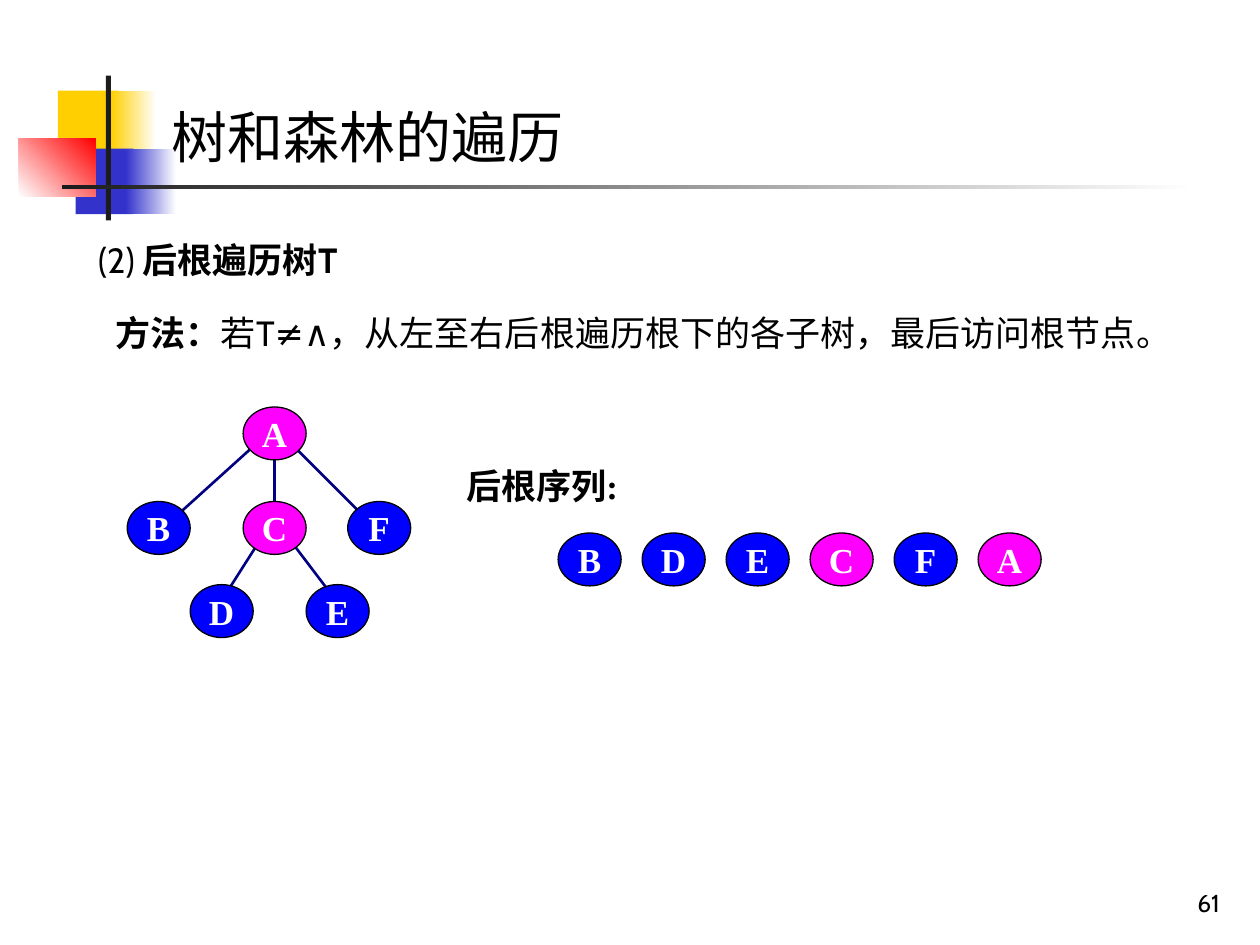
from dataclasses import dataclass

from lxml.etree import SubElement
from pptx import Presentation
from pptx.dml.color import RGBColor as RGB
from pptx.enum.shapes import MSO_CONNECTOR as Link, MSO_SHAPE as Kind
from pptx.enum.text import MSO_ANCHOR as Anchor, PP_ALIGN as Align
from pptx.oxml.ns import qn
from pptx.util import Inches, Pt


@dataclass(frozen=True)
class Theme:
    black: str = "000000"
    white: str = "FFFFFF"
    dark: str = "1C1C1C"
    gold: str = "FFCF01"
    indigo: str = "3333CC"
    red: str = "FF0000"
    navy: str = "000080"
    leaf: str = "0000FF"
    root: str = "FF00FF"
    sans: str = "Cabin"
    serif: str = "Times New Roman"
    cjk: str = "Noto Sans CJK JP"
    head: int = 32
    body: int = 20
    note: int = 14


T = Theme()


def color(code):
    return RGB.from_string(code)


def write(frame, runs, face, size, ink=T.black, **form):
    """Fill a text frame with one paragraph of (text, bold) runs."""
    para = frame.paragraphs[0]
    for name, value in form.items():
        setattr(para, name, value)
    for text, bold in runs:
        run = para.add_run()
        run.text = text
        look = {"name": face, "size": Pt(size), "bold": bold}
        for name, value in look.items():
            setattr(run.font, name, value)
        run.font.color.rgb = color(ink)
        SubElement(run.font._element, qn("a:ea"), typeface=T.cjk)


def label(slide, box, runs, face=T.sans, size=T.body, anchor=Anchor.TOP, **form):
    frame = slide.shapes.add_textbox(*map(Inches, box)).text_frame
    frame.word_wrap = True
    frame.vertical_anchor = anchor
    write(frame, runs, face, size, **form)


def block(slide, box, start, end=None, angle=0):
    """Draw a borderless bar, solid or fading from start to end."""
    bar = slide.shapes.add_shape(Kind.RECTANGLE, *map(Inches, box))
    bar.shadow.inherit = False
    bar.line.fill.background()
    if end is None:
        bar.fill.solid()
        bar.fill.fore_color.rgb = color(start)
        return
    bar.fill.gradient()
    bar.fill.gradient_angle = angle
    for stop, code in zip(bar.fill.gradient_stops, (start, end)):
        stop.color.rgb = color(code)


def node(slide, left, top, name):
    oval = slide.shapes.add_shape(
        Kind.OVAL, Inches(left), Inches(top), Inches(0.5), Inches(0.42))
    oval.shadow.inherit = False
    oval.fill.solid()
    oval.fill.fore_color.rgb = color(T.root if name in "AC" else T.leaf)
    oval.line.color.rgb = color(T.black)
    oval.line.width = Pt(0.75)
    frame = oval.text_frame
    frame.word_wrap = False
    frame.vertical_anchor = Anchor.MIDDLE
    write(frame, [(name, True)], T.serif, T.body, T.white, alignment=Align.CENTER)


def edge(slide, start, end):
    line = slide.shapes.add_connector(Link.STRAIGHT, *map(Inches, start + end))
    line.line.color.rgb = color(T.navy)
    line.line.width = Pt(1.5)
    SubElement(line.element.spPr, qn("a:effectLst"))


def motif(slide, left, top):
    """Coloured blocks and rules beside the title."""
    parts = [
        ((0.31, 0.12, 0.48, 0.52), T.gold),
        ((0.73, 0.12, 0.36, 0.52), T.gold, T.white),
        ((0.45, 0.58, 0.46, 0.52), T.indigo),
        ((0.85, 0.58, 0.4, 0.52), T.indigo, T.white),
        ((0, 0.5, 0.61, 0.46), T.white, T.red, 45),
        ((0.69, 0, 0.04, 1.15), T.dark),
        ((0.34, 0.87, 9, 0.03), T.dark, T.white),
    ]
    for (x, y, wide, high), *paint in parts:
        block(slide, (left + x, top + y, wide, high), *paint)


def heading(slide, box, text):
    title = slide.shapes.title
    # Bring the title in front of the motif
    title.element.getparent().append(title.element)
    for name, value in zip(("left", "top", "width", "height"), box):
        setattr(title, name, Inches(value))
    title.text_frame.vertical_anchor = Anchor.TOP
    write(title.text_frame, [(text, False)], T.cjk, T.head, alignment=Align.LEFT)


def tree(slide, left, top):
    spots = {"A": (0.92, 0), "B": (0, 0.75), "C": (0.92, 0.75),
             "F": (1.75, 0.75), "D": (0.5, 1.41), "E": (1.42, 1.41)}
    hub = (1.17, 0.16)
    edges = [(hub, (0.34, 0.91)), (hub, (1.17, 0.83)), (hub, (1.92, 0.91)),
             ((1.09, 1), (0.67, 1.66)), ((1.25, 1), (1.69, 1.58))]
    # Edges go behind the nodes
    for ends in edges:
        edge(slide, *[(left + x, top + y) for x, y in ends])
    for name, (x, y) in spots.items():
        node(slide, left + x, top + y, name)


def order(slide, left, top):
    """Label and row of nodes in visiting order."""
    label(slide, (left, top, 1.42, 0.77), [("后根序列:", True)], T.serif)
    for i, name in enumerate("BDECFA"):
        node(slide, left + 0.83 + i * 2 / 3, top + 0.59, name)


def main():
    deck = Presentation()
    deck.slide_width, deck.slide_height = Inches(10), Inches(7.5)
    slide = deck.slides.add_slide(deck.slide_layouts[5])
    # Title area
    motif(slide, 0.15, 0.6)
    heading(slide, (1.26, 0.76, 8.74, 0.64), "树和森林的遍历")
    # Explanation
    label(slide, (0.68, 1.84, 4.75, 0.44), [("(2) ", False), ("后根遍历树T", True)])
    label(slide, (0.82, 2.36, 8.69, 0.5),
          [("方法：", True),
           ("若T≠∧，从左至右后根遍历根下的各子树，最后访问根节点。", False)],
          line_spacing=1.2)
    # Example
    tree(slide, 1.01, 3.23)
    order(slide, 3.6, 3.64)
    # Page number
    label(slide, (7.7, 6.83, 2.08, 0.5), [("61", False)], size=T.note,
          anchor=Anchor.BOTTOM, alignment=Align.RIGHT)
    deck.save("out.pptx")


if __name__ == "__main__":
    main()
